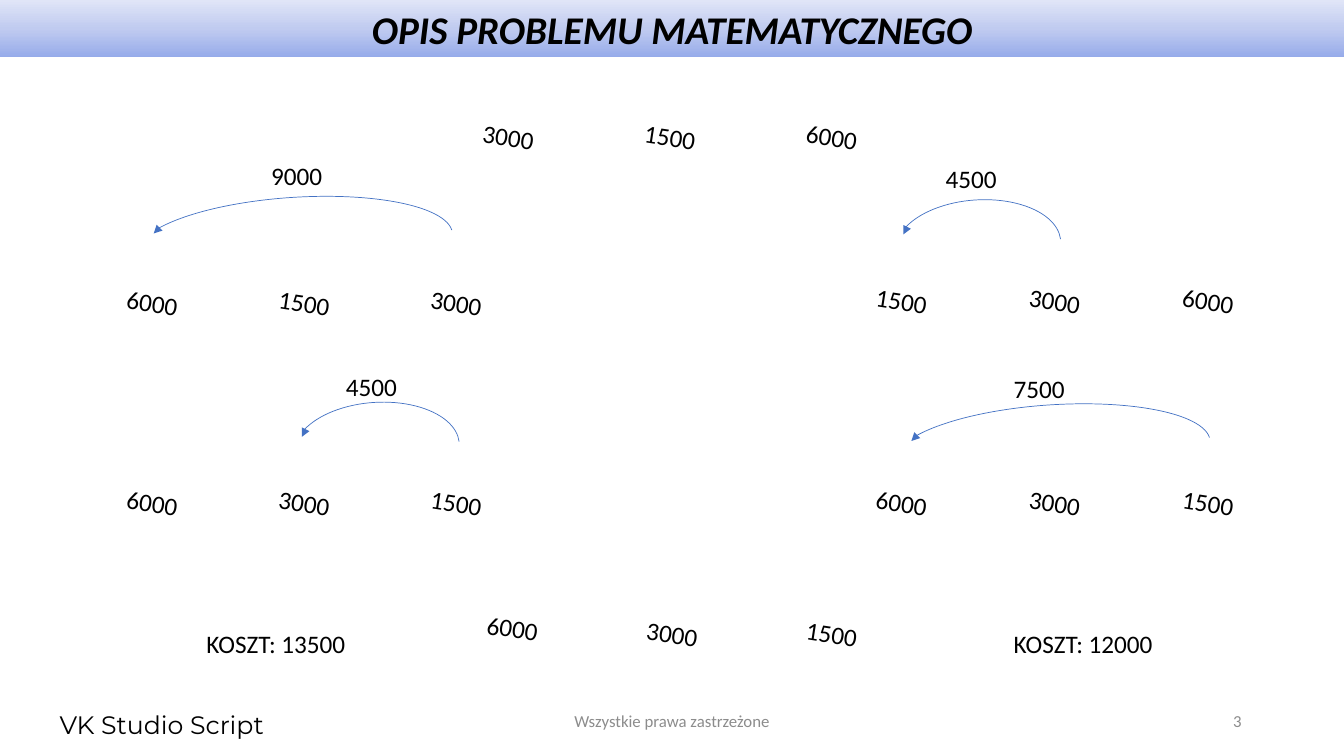
from copy import deepcopy
from dataclasses import dataclass

from lxml import etree
from pptx import Presentation
from pptx.dml.color import RGBColor
from pptx.enum import shapes, text
from pptx.oxml import ns
from pptx.util import Inches, Length, Pt

COLUMNS, ROWS = 160, 90
SLIDE_WIDTH, SLIDE_HEIGHT = Inches(13.33), Inches(7.5)
BLACK = RGBColor(0x00, 0x00, 0x00)
GREY = RGBColor(0x8C, 0x8C, 0x8C)
BLUE = RGBColor(0x44, 0x72, 0xC4)
BAND_COLORS = (RGBColor(0x96, 0xAB, 0xEA), RGBColor(0xC0, 0xCB, 0xF0), RGBColor(0xE0, 0xE5, 0xF7))
NUMBER_WIDTH, LINE_HEIGHT, ARC_HEIGHT = 10.2, 4.8, 11.04
NUMBER_TILT, ARC_TILT = 8.7, -3.8
ARC_END = 215.307


@dataclass(frozen=True)
class Label:
    words: str
    column: float
    row: float
    width: float = NUMBER_WIDTH
    tilt: float = 0
    size: int = 18
    color: RGBColor = BLACK
    font: str = "Calibri"
    align: text.PP_ALIGN = text.PP_ALIGN.LEFT
    anchor: text.MSO_ANCHOR = text.MSO_ANCHOR.TOP


@dataclass(frozen=True)
class Sequence:
    numbers: tuple[int, ...]
    column: float
    step: float
    row: float
    first_lift: float = 0


@dataclass(frozen=True)
class Curve:
    width: float
    start: float
    tail: tuple[float, float]
    tip: tuple[float, float]


@dataclass(frozen=True)
class Swap:
    curve: Curve
    column: float
    row: float
    cost: Label


LONG = Curve(37.7, 114.303, (2.7, 3.7), (2.1, 4.3))
SHORT = Curve(19.7, 119.283, (1.25, 3.5), (0.95, 4.1))

SEQUENCES = (
    Sequence((3000, 1500, 6000), 56.3, 19.25, 14),
    Sequence((6000, 1500, 3000), 13.9, 18.1, 33.8),
    Sequence((6000, 3000, 1500), 13.9, 18.1, 57.6),
    Sequence((1500, 3000, 6000), 103.1, 18.25, 33.5),
    Sequence((6000, 3000, 1500), 103.1, 18.25, 57.6),
    Sequence((6000, 3000, 1500), 56.8, 19, 73.2, 0.7),
)
SWAPS = (
    Swap(LONG, 16.2, 23.5, Label("9000", 31.1, 18.5)),
    Swap(SHORT, 35, 47.9, Label("4500", 40, 43.6)),
    Swap(SHORT, 106.6, 23.8, Label("4500", 111.4, 18.8)),
    Swap(LONG, 106.4, 48.2, Label("7500", 119.5, 43.8)),
)
LABELS = (
    Label("KOSZT: 13500", 23.4, 74.2, 20.2),
    Label("KOSZT: 12000", 119.5, 74.2, 20.2),
    Label("VK Studio Script", 5.9, 83.8, 32.6, font="Montserrat"),
    Label("Wszystkie prawa zastrzeżone", 53, 83.4, 54, size=12, color=GREY,
          align=text.PP_ALIGN.CENTER, anchor=text.MSO_ANCHOR.MIDDLE),
    Label("3", 113, 83.4, 36, size=12, color=GREY,
          align=text.PP_ALIGN.RIGHT, anchor=text.MSO_ANCHOR.MIDDLE),
)


def across(columns: float) -> Length:
    return Length(round(SLIDE_WIDTH * columns / COLUMNS))


def down(rows: float) -> Length:
    return Length(round(SLIDE_HEIGHT * rows / ROWS))


def write_run(paragraph, words: str, font: str, size: int, color: RGBColor):
    run = paragraph.add_run()
    run.text = words
    run.font.name = font
    run.font.size = Pt(size)
    run.font.color.rgb = color
    return run


def draw_title(slide) -> None:
    title = slide.shapes.title
    title.left, title.top = 0, 0
    title.width, title.height = SLIDE_WIDTH, Inches(0.57)
    title.fill.gradient()
    title.fill.gradient_angle = 90
    stops = title._element.spPr.find(".//" + ns.qn("a:gsLst"))
    stops.insert(1, deepcopy(stops[0]))
    for index, (stop, color) in enumerate(zip(title.fill.gradient_stops, BAND_COLORS)):
        stop.position = index / 2
        stop.color.rgb = color
    frame = title.text_frame
    frame.auto_size = text.MSO_AUTO_SIZE.NONE
    frame.vertical_anchor = text.MSO_ANCHOR.MIDDLE
    paragraph = frame.paragraphs[0]
    paragraph.alignment = text.PP_ALIGN.CENTER
    run = write_run(paragraph, "OPIS PROBLEMU MATEMATYCZNEGO", "Calibri", 28, BLACK)
    run.font.bold = True
    run.font.italic = True


def draw_label(slide, label: Label) -> None:
    box = slide.shapes.add_textbox(
        across(label.column), down(label.row), across(label.width), down(LINE_HEIGHT))
    box.rotation = label.tilt
    frame = box.text_frame
    frame.word_wrap = True
    frame.vertical_anchor = label.anchor
    paragraph = frame.paragraphs[0]
    paragraph.alignment = label.align
    write_run(paragraph, label.words, label.font, label.size, label.color)


def draw_sequence(slide, sequence: Sequence) -> None:
    for index, number in enumerate(sequence.numbers):
        lift = sequence.first_lift if index == 0 else 0
        draw_label(slide, Label(str(number), sequence.column + index * sequence.step,
                                sequence.row - lift, tilt=NUMBER_TILT))


def style_line(line) -> None:
    line.color.rgb = BLUE
    line.width = Pt(0.5)


def draw_swap(slide, swap: Swap) -> None:
    curve = swap.curve
    arc = slide.shapes.add_shape(
        shapes.MSO_SHAPE.ARC, across(swap.column), down(swap.row),
        across(curve.width), down(ARC_HEIGHT))
    arc.adjustments[0] = curve.start
    arc.adjustments[1] = ARC_END
    arc.rotation = ARC_TILT
    arc.shadow.inherit = False
    arc.fill.background()
    style_line(arc.line)

    (tail_column, tail_row), (tip_column, tip_row) = curve.tail, curve.tip
    arrow = slide.shapes.add_connector(
        shapes.MSO_CONNECTOR.STRAIGHT,
        across(swap.column + tail_column), down(swap.row + tail_row),
        across(swap.column + tip_column), down(swap.row + tip_row))
    style_line(arrow.line)
    etree.SubElement(arrow.line._get_or_add_ln(), ns.qn("a:tailEnd"), type="triangle")
    etree.SubElement(arrow._element.spPr, ns.qn("a:effectLst"))
    draw_label(slide, swap.cost)


def main() -> None:
    presentation = Presentation()
    presentation.slide_width, presentation.slide_height = SLIDE_WIDTH, SLIDE_HEIGHT
    slide = presentation.slides.add_slide(presentation.slide_layouts.get_by_name("Title Only"))
    draw_title(slide)
    for sequence in SEQUENCES:
        draw_sequence(slide, sequence)
    for swap in SWAPS:
        draw_swap(slide, swap)
    for label in LABELS:
        draw_label(slide, label)
    presentation.save("out.pptx")


if __name__ == "__main__":
    main()
